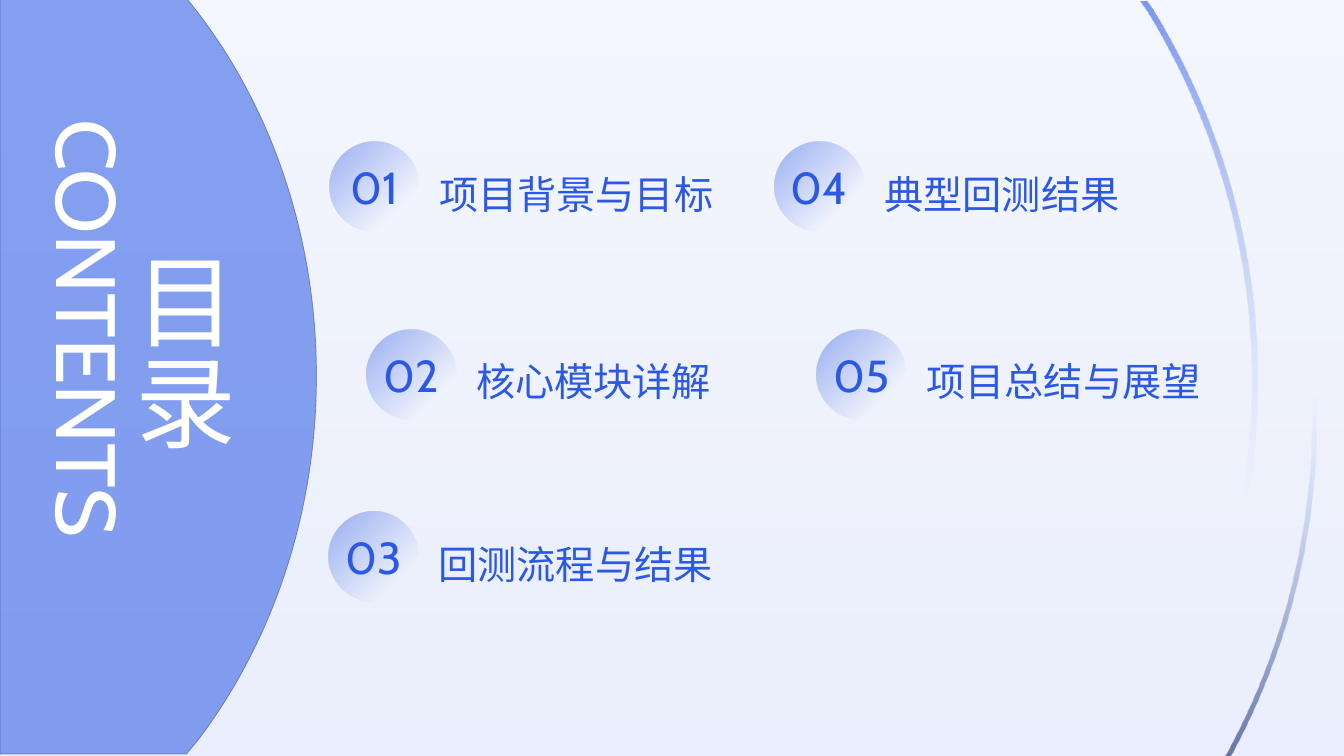
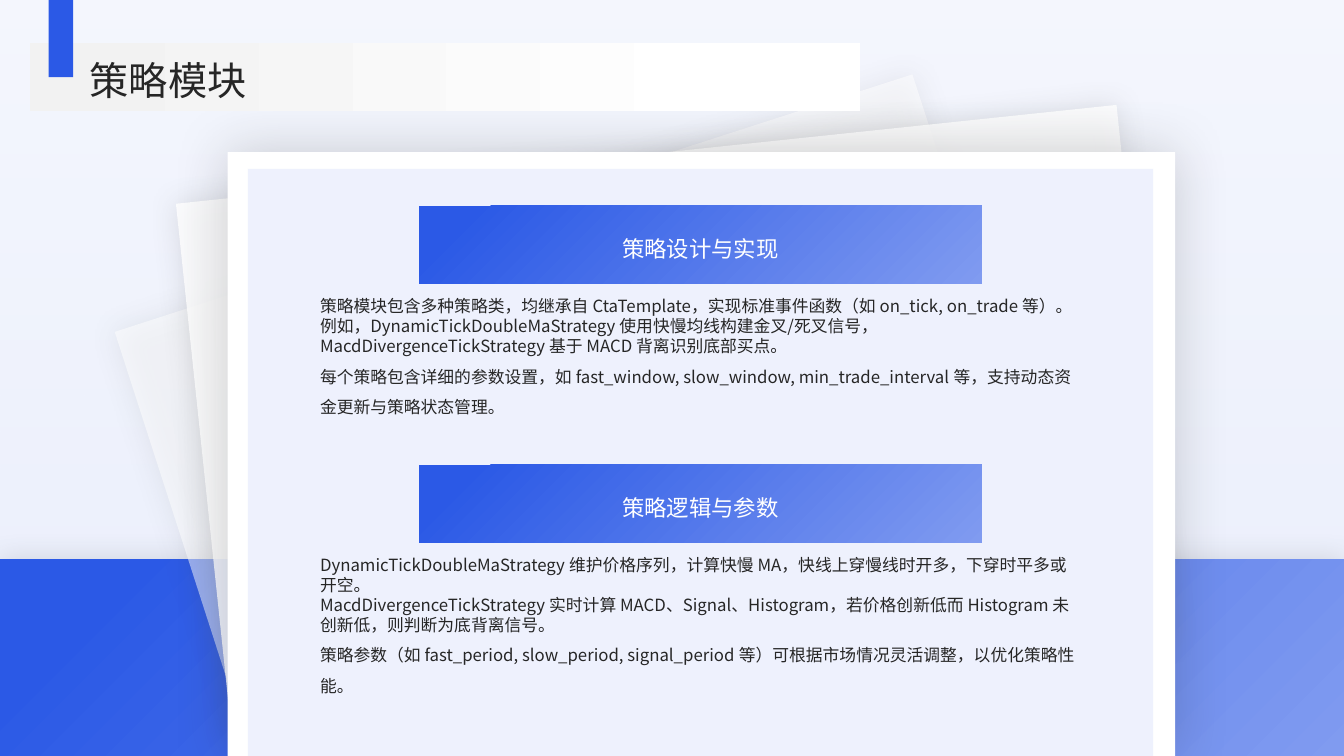
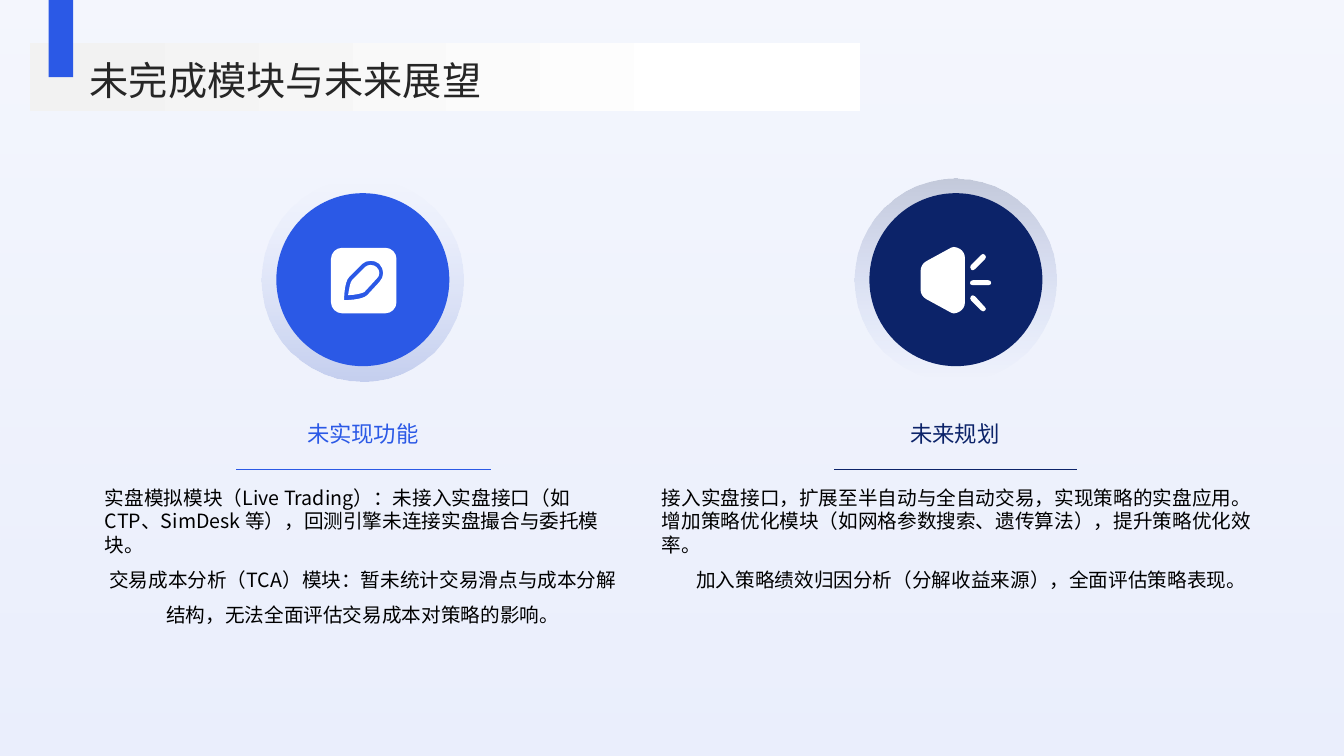
from lxml.etree import SubElement
from pptx import Presentation
from pptx.dml.color import RGBColor as Rgb
from pptx.enum.shapes import MSO_CONNECTOR as Connector, MSO_SHAPE as Preset
from pptx.enum.text import MSO_ANCHOR as Anchor, PP_ALIGN as Align
from pptx.oxml.ns import qn
from pptx.util import Pt

COLUMNS, ROWS = 16, 9
CELL = 762000
FINE = CELL * 0.012

COLORS = {
    "blue": "2B59E6", "soft_blue": "809BF0", "pale": "D5DEFA", "sky": "AABDF5",
    "steel": "7291EF", "royal": "163DB7", "navy": "0C2369", "ink": "091A4F",
    "white": "FFFFFF", "smoke": "F2F2F2", "gray": "595959", "dark": "262626",
    "black": "000000",
}
LATIN = "Cabin"
HAN = "Noto Sans CJK SC"

CONTENTS = [
    ("01", "项目背景与目标", 3.92, 1.69),
    ("02", "核心模块详解", 4.36, 3.92),
    ("03", "回测流程与结果", 3.91, 6.09),
    ("04", "典型回测结果", 9.22, 1.69),
    ("05", "项目总结与展望", 9.72, 3.92),
]

SIDE_PANEL = ["M 0 -2 L 185 -2 L 196 12 C 269 107 314 234 314 373 "
              "C 314 512 269 639 196 735 L 185 748 L 0 748"]
UPPER_ARC = ["M 1132 2 L 1139 2 L 1144 9 C 1209 116 1247 242 1247 377 "
             "C 1247 511 1209 637 1144 744 L 1139 752 L 1132 752 L 1139 741 "
             "C 1203 635 1241 510 1241 377 C 1241 243 1203 119 1139 12"]
LOWER_ARC = ["M 1169 2 L 1175 2 L 1185 16 C 1261 129 1306 266 1306 413 "
             "C 1306 535 1275 650 1220 751 L 1219 752 L 1214 752 L 1216 748 "
             "C 1270 649 1301 534 1301 413 C 1301 267 1257 131 1181 19"]
PEN_ICON = [
    "M 39 17 C 42 17 44 18 45 19 C 49 22 49 28 45 31 L 33 44 "
    "C 31 45 24 47 17 47 C 18 41 19 34 21 32 L 34 19 C 35 18 37 17 39 17",
    "M 39 13 C 36 13 33 14 31 16 L 18 29 C 13 34 13 52 13 52 "
    "C 13 52 31 52 36 47 L 48 34 C 53 29 53 21 48 16 C 46 14 43 13 39 13",
    "M 11 0 L 54 0 C 60 0 65 5 65 11 L 65 54 C 65 60 60 65 54 65 "
    "L 11 65 C 5 65 0 60 0 54 L 0 11 C 0 5 5 0 11 0",
]
SPEAKER_ICON = [
    "M 52 48 C 52 48 53 49 54 49 L 64 60 C 65 61 65 62 64 63 "
    "C 63 64 63 64 62 64 C 61 64 61 64 60 63 L 50 53 "
    "C 49 52 49 50 50 49 C 50 49 51 48 52 48",
    "M 52 33 L 67 33 C 69 33 70 34 70 36 C 70 37 69 38 67 38 "
    "L 52 38 C 50 38 49 37 49 36 C 49 34 50 33 52 33",
    "M 62 7 C 63 7 63 8 64 8 C 65 9 65 11 64 12 L 54 22 "
    "C 53 23 52 23 52 23 C 51 23 50 23 50 22 C 49 21 49 19 50 18 "
    "L 60 8 C 61 8 61 7 62 7",
    "M 33 0 C 35 0 37 1 39 2 C 42 4 44 7 44 11 L 44 55 "
    "C 44 59 42 62 39 64 C 37 65 35 66 33 66 C 31 66 30 65 28 64 "
    "L 6 52 C 2 50 0 46 0 43 L 0 24 C 0 20 2 16 6 14 L 28 2 C 30 1 31 0 33 0",
]

STRATEGY_SECTIONS = [
    (2.45, "策略设计与实现", [
        "策略模块包含多种策略类，均继承自 CtaTemplate，实现标准事件函数（如 on_tick, on_trade 等）。",
        "例如，DynamicTickDoubleMaStrategy 使用快慢均线构建金叉/死叉信号，MacdDivergenceTickStrategy 基于 MACD 背离识别底部买点。",
        "每个策略包含详细的参数设置，如 fast_window, slow_window, min_trade_interval 等，支持动态资金更新与策略状态管理。",
    ]),
    (5.53, "策略逻辑与参数", [
        "DynamicTickDoubleMaStrategy 维护价格序列，计算快慢 MA，快线上穿慢线时开多，下穿时平多或开空。",
        "MacdDivergenceTickStrategy 实时计算 MACD、Signal、Histogram，若价格创新低而 Histogram 未创新低，则判断为底背离信号。",
        "策略参数（如 fast_period, slow_period, signal_period 等）可根据市场情况灵活调整，以优化策略性能。",
    ]),
]
UNFINISHED = [
    "实盘模拟模块（Live Trading）：未接入实盘接口（如 CTP、SimDesk 等），回测引擎未连接实盘撮合与委托模块。",
    "交易成本分析（TCA）模块：暂未统计交易滑点与成本分解结构，无法全面评估交易成本对策略的影响。",
]
PLANS = [
    "接入实盘接口，扩展至半自动与全自动交易，实现策略的实盘应用。",
    "增加策略优化模块（如网格参数搜索、遗传算法），提升策略优化效率。",
    "加入策略绩效归因分析（分解收益来源），全面评估策略表现。",
]


def cells(*lengths):
    return [round(length * CELL) for length in lengths]


def add_color(parent, name, opacity=100):
    color = SubElement(parent, qn("a:srgbClr"), val=COLORS[name])
    if opacity < 100:
        SubElement(color, qn("a:alpha"), val=str(opacity * 1000))


def paint(shape, fill, angle=0, shadow=None):
    shape.shadow.inherit = False
    shape.line.fill.background()
    shape.fill.background()
    properties = shape._element.spPr
    blank = properties.find(qn("a:noFill"))
    if isinstance(fill, list):
        paint_tag = properties.makeelement(qn("a:gradFill"), {"rotWithShape": "1"})
        stops = SubElement(paint_tag, qn("a:gsLst"))
        for position, name, opacity in fill:
            stop = SubElement(stops, qn("a:gs"), pos=str(position * 1000))
            add_color(stop, name, opacity)
        SubElement(paint_tag, qn("a:lin"), ang=str(angle * 60000), scaled="0")
    else:
        paint_tag = properties.makeelement(qn("a:solidFill"), {})
        add_color(paint_tag, *fill)
    properties.replace(blank, paint_tag)
    if shadow:
        name, opacity, blur = shadow
        outer = SubElement(properties.find(qn("a:effectLst")), qn("a:outerShdw"),
                           blurRad=str(Pt(blur)), dist="0", dir="0",
                           algn="ctr", rotWithShape="0")
        add_color(outer, name, opacity)
    return shape


def add_figure(page, area, fill, preset=Preset.RECTANGLE, turn=0, **style):
    shape = page.shapes.add_shape(preset, *cells(*area))
    shape.rotation = turn
    return paint(shape, fill, **style)


def read_points(outline, left, top):
    numbers = [float(token) for token in outline.split() if token not in "MLC"]
    return [(round(left + x * FINE), round(top + y * FINE))
            for x, y in zip(numbers[::2], numbers[1::2])]


def bend(shape, outlines):
    segments = iter(shape._element.spPr.findall(".//" + qn("a:lnTo")))
    commands = [token for token in " ".join(outlines).split() if token in "LC"]
    for command in commands:
        segment = next(segments)
        if command == "C":
            curve = segment.makeelement(qn("a:cubicBezTo"), {})
            segment.addprevious(curve)
            for knot in (segment, next(segments), next(segments)):
                curve.append(knot[0])
                knot.getparent().remove(knot)


def add_outline(page, outlines, fill, origin=(0, 0), **style):
    builder = None
    for outline in outlines:
        points = read_points(outline, *cells(*origin))
        if builder is None:
            builder = page.shapes.build_freeform(*points[0], scale=1.0)
        else:
            builder.move_to(*points[0])
        builder.add_line_segments(points[1:], close=True)
    shape = builder.convert_to_shape()
    bend(shape, outlines)
    return paint(shape, fill, **style)


def add_rule(page, left, right, top, color):
    rule = page.shapes.add_connector(Connector.STRAIGHT, *cells(left, top, right, top))
    rule.line.color.rgb = Rgb.from_string(COLORS[color])
    rule.line.width = Pt(0.5)
    SubElement(rule._element.spPr, qn("a:effectLst"))


def add_frame(page, area, anchor=Anchor.TOP, vertical=False):
    frame = page.shapes.add_textbox(*cells(*area)).text_frame
    frame.word_wrap = True
    frame.vertical_anchor = anchor
    frame.margin_left = frame.margin_right = 0
    frame.margin_top = frame.margin_bottom = 0
    if vertical:
        frame._txBody.bodyPr.set("vert", "eaVert")
    return frame


def fill_para(para, text, size, color, font=HAN, align=Align.LEFT, spacing=1.0):
    para.alignment = align
    para.line_spacing = spacing
    para._p.get_or_add_pPr().set("hangingPunct", "0")
    span = para.add_run()
    span.text = text
    span.font.size = Pt(size)
    span.font.name = font
    span.font.color.rgb = Rgb.from_string(COLORS[color])
    SubElement(span._r.get_or_add_rPr(), qn("a:ea"), typeface=font)


def write(page, area, text, size, color, anchor=Anchor.MIDDLE, vertical=False, **style):
    frame = add_frame(page, area, anchor, vertical)
    fill_para(frame.paragraphs[0], text, size, color, **style)


def write_body(page, area, lines, size, color, last_align=Align.LEFT):
    frame = add_frame(page, area)
    for index, line in enumerate(lines):
        para = frame.add_paragraph() if index else frame.paragraphs[0]
        last = index == len(lines) - 1
        fill_para(para, line, size, color,
                  align=last_align if last else Align.LEFT,
                  spacing=Pt(size * (1.8 if last else 1.2)))


def add_page(deck):
    page = deck.slides.add_slide(deck.slide_layouts[6])
    add_figure(page, (0, 0, COLUMNS, ROWS),
               [(0, "pale", 49), (100, "pale", 25)], angle=270)
    return page


def add_title(page, title):
    add_figure(page, (0.36, 0.51, 9.88, 0.81),
               [(5, "smoke", 100), (84, "white", 100)])
    add_figure(page, (0.58, 0, 0.29, 0.92), ("blue",))
    write(page, (1.07, 0.62, 14.04, 0.61), title, 28, "dark", spacing=1.1)


def add_blue_band(page, area, **style):
    add_figure(page, area, [(9, "blue", 100), (100, "soft_blue", 100)],
               angle=45, **style)


def add_entry(page, number, label, left, top):
    add_figure(page, (left, top, 1.07, 1.07), [(7, "blue", 40), (75, "blue", 0)],
               preset=Preset.OVAL, angle=45)
    write(page, (left - 0.03, top + 0.06, 1.13, 0.95), number, 32, "blue",
          font=LATIN, align=Align.CENTER)
    write(page, (left + 1.31, top - 0.06, 3.54, 1.19), label, 28, "blue",
          font=LATIN, spacing=1.3)


def add_badge(page, left, top, color, ring, angle, icon, icon_origin):
    add_figure(page, (left, top, 2.41, 2.41), ring, preset=Preset.OVAL, angle=angle)
    add_figure(page, (left + 0.18, top + 0.17, 2.06, 2.06), (color,),
               preset=Preset.OVAL)
    add_outline(page, icon, ("white",), origin=icon_origin)


def build_contents(deck):
    page = add_page(deck)
    panel = add_outline(page, SIDE_PANEL, ("blue", 55))
    panel.line.color.rgb = Rgb.from_string(COLORS["ink"])
    panel.line.width = Pt(0.5)
    edge = panel._element.spPr.find(qn("a:ln")).find(qn("a:solidFill"))
    SubElement(edge[0], qn("a:alpha"), val="40000")
    add_outline(page, UPPER_ARC, [(0, "blue", 60), (66, "sky", 0)], angle=90)
    add_outline(page, LOWER_ARC, [(0, "navy", 60), (48, "steel", 0)], angle=270)
    for entry in CONTENTS:
        add_entry(page, *entry)
    write(page, (1.44, 2.99, 1.45, 3.37), "目录", 72, "white", anchor=Anchor.TOP,
          vertical=True, font=LATIN, align=Align.CENTER)
    write(page, (0.53, 1.42, 1.21, 6.5), "CONTENTS", 60, "white", vertical=True,
          font=LATIN, align=Align.CENTER, spacing=1.1)


def build_strategy(deck):
    page = add_page(deck)
    soft = ("gray", 20, 20)
    add_blue_band(page, (0, 6.66, COLUMNS, 2.34), shadow=soft)
    add_figure(page, (2, 2.28, 9.98, 5.7), ("white", 50), turn=342.1, shadow=soft)
    add_figure(page, (2.4, 1.82, 11.26, 6.43), ("white", 80), turn=354, shadow=soft)
    add_figure(page, (2.71, 1.81, 11.28, 7.19), ("white",), shadow=("dark", 20, 40))
    add_figure(page, (2.95, 2.01, 10.78, 6.99), ("pale", 40))
    for top, heading, lines in STRATEGY_SECTIONS:
        write_body(page, (3.81, top + 1.07, 9.05, 1.86), lines, 12, "dark")
        add_blue_band(page, (4.99, top, 6.7, 0.93))
        write(page, (5.53, top + 0.02, 5.62, 0.89), heading, 16, "white",
              align=Align.CENTER, spacing=1.3)
    add_title(page, "策略模块")


def build_outlook(deck):
    page = add_page(deck)
    topics = [
        ("未实现功能", UNFINISHED, "blue", 1.25, (1.25, 6.14), (2.81, 5.84, 5.59)),
        ("未来规划", PLANS, "navy", 8.3, (7.88, 7.37), (9.93, 12.82, 5.59)),
    ]
    for heading, lines, color, left, (body_left, body_width), rule in topics:
        add_rule(page, *rule, color)
        write(page, (left, 4.83, 6.14, 0.56), heading, 16, color,
              align=Align.CENTER, spacing=1.3)
        write_body(page, (body_left, 5.78, body_width, 2.22), lines, 14, "black",
                   last_align=Align.CENTER)
    add_badge(page, 10.17, 2.13, "navy", [(0, "blue", 0), (100, "ink", 20)], 270,
              SPEAKER_ICON, (10.96, 2.94))
    add_badge(page, 3.11, 2.13, "blue", [(0, "soft_blue", 0), (100, "royal", 20)], 90,
              PEN_ICON, (3.94, 2.95))
    add_title(page, "未完成模块与未来展望")


def main():
    deck = Presentation()
    deck.slide_width, deck.slide_height = cells(COLUMNS, ROWS)
    build_contents(deck)
    build_strategy(deck)
    build_outlook(deck)
    deck.save("out.pptx")


if __name__ == "__main__":
    main()
